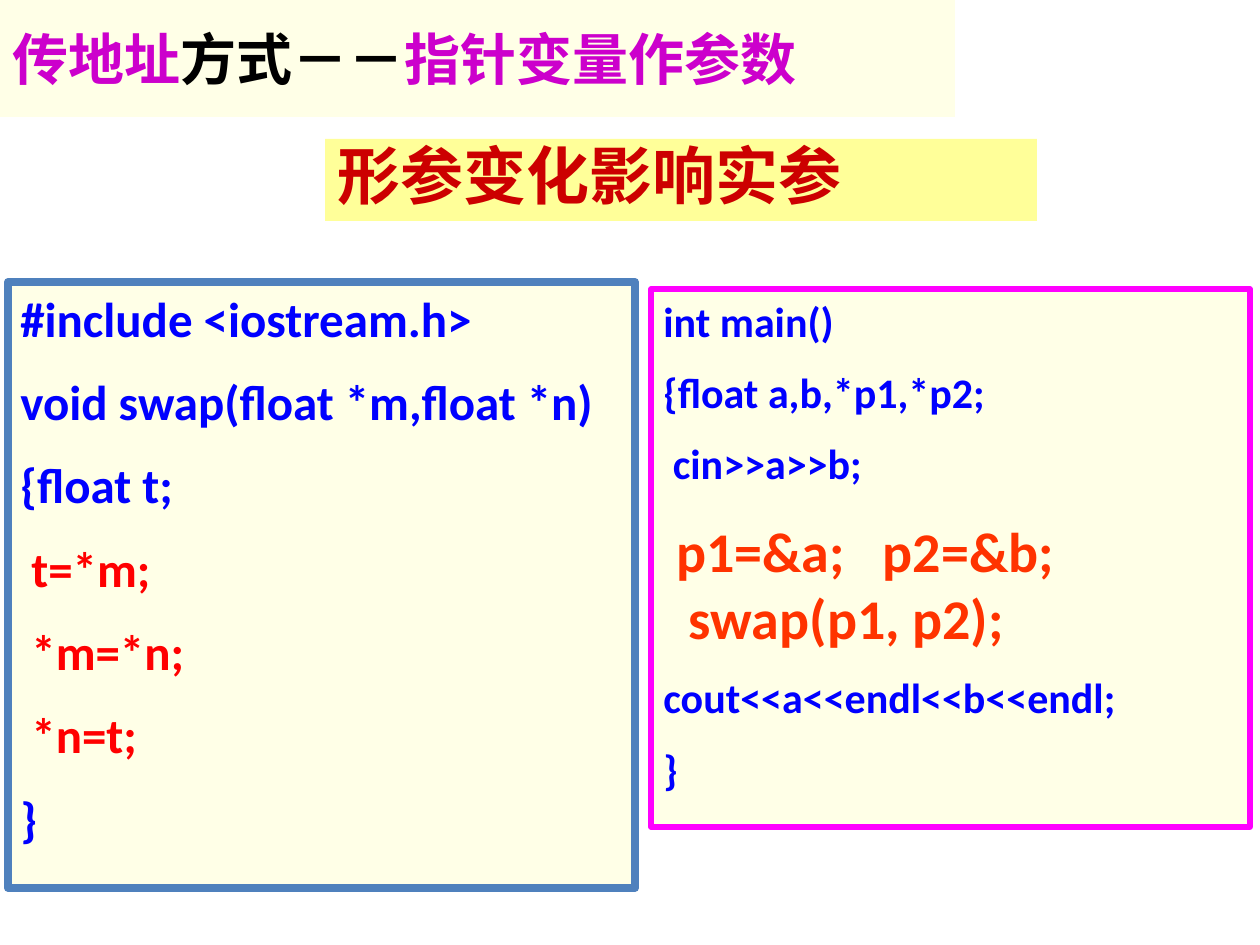
from lxml.etree import SubElement
from pptx import Presentation
from pptx.dml.color import RGBColor
from pptx.enum.shapes import MSO_SHAPE as Shape
from pptx.enum.text import MSO_ANCHOR as Anchor, PP_ALIGN as Align
from pptx.oxml.ns import qn
from pptx.util import Pt

EMU_PER_PX = 914400 / 126
HAN_FONT = "Noto Sans CJK SC"
CODE_FONT = "Calibri"
CREAM, BLUE, RED, ORANGE, BLACK = "FFFFE7", "0000FF", "FF0000", "FF3300", "000000"
PURPLE = "CC00CC"


def px(value):
    return round(value * EMU_PER_PX)


def color(value):
    return RGBColor.from_string(value)


def add_panel(slide, box, fill, line=None, line_width=0, anchor=Anchor.TOP):
    shape = slide.shapes.add_shape(Shape.RECTANGLE, *map(px, box))
    shape.shadow.inherit = False
    shape.fill.solid()
    shape.fill.fore_color.rgb = color(fill)
    if line:
        shape.line.color.rgb = color(line)
        shape.line.width = Pt(line_width)
    else:
        shape.line.fill.background()
    frame = shape.text_frame
    frame.word_wrap = True
    frame.vertical_anchor = anchor
    return frame


def add_run(paragraph, text, size, ink, font):
    run = paragraph.add_run()
    run.text = text
    run.font.size = Pt(size)
    run.font.bold = True
    run.font.color.rgb = color(ink)
    run.font.name = font
    SubElement(run.font._element, qn("a:ea"), typeface=font)


def add_title(slide, box):
    paragraph = add_panel(slide, box, CREAM, anchor=Anchor.MIDDLE).paragraphs[0]
    paragraph.alignment = Align.LEFT
    paragraph.space_before = paragraph.space_after = Pt(1)
    for text, ink in (("传地址", PURPLE), ("方式－－", BLACK), ("指针变量作参数", PURPLE)):
        add_run(paragraph, text, 32, ink, HAN_FONT)


def add_banner(slide, box):
    paragraph = add_panel(slide, box, "FFFF99").paragraphs[0]
    paragraph.alignment = Align.LEFT
    paragraph.line_spacing = 0.9
    add_run(paragraph, "形参变化影响实参", 36, "CC0000", HAN_FONT)


def add_code(slide, box, border, border_width, lines):
    frame = add_panel(slide, box, CREAM, border, border_width)
    for index, (text, size, ink, spaced) in enumerate(lines):
        paragraph = frame.add_paragraph() if index else frame.paragraphs[0]
        paragraph.alignment = Align.LEFT if spaced else Align.JUSTIFY
        paragraph.space_before = Pt(size / 2 if spaced else 0)
        add_run(paragraph, text, size, ink, CODE_FONT)


def add_main_code(slide, box):
    add_code(slide, box, "FF00FF", 3, [
        ("int main()", 24, BLUE, True),
        ("{float a,b,*p1,*p2;", 24, BLUE, True),
        (" cin>>a>>b;", 24, BLUE, True),
        (" p1=&a;   p2=&b;", 32, ORANGE, True),
        ("  swap(p1, p2);", 32, ORANGE, False),
        ("cout<<a<<endl<<b<<endl;", 24, BLUE, True),
        ("}", 24, BLUE, True),
    ])


def add_swap_code(slide, box):
    header = ["#include <iostream.h>", "void swap(float *m,float *n)", "{float t;"]
    exchange = [" t=*m;", " *m=*n;", " *n=t;"]
    inked = [(text, BLUE) for text in header]
    inked += [(text, RED) for text in exchange] + [("}", BLUE)]
    add_code(slide, box, "4F81BD", 4.5, [(text, 28, ink, True) for text, ink in inked])


def main():
    presentation = Presentation()
    presentation.slide_width = px(1260)
    presentation.slide_height = px(945)
    slide = presentation.slides.add_slide(presentation.slide_layouts[6])
    add_title(slide, (0, 0, 955, 117))
    add_main_code(slide, (651, 289, 599, 538))
    add_swap_code(slide, (8, 282, 627, 606))
    add_banner(slide, (325, 139, 712, 82))
    presentation.save("out.pptx")


if __name__ == "__main__":
    main()
